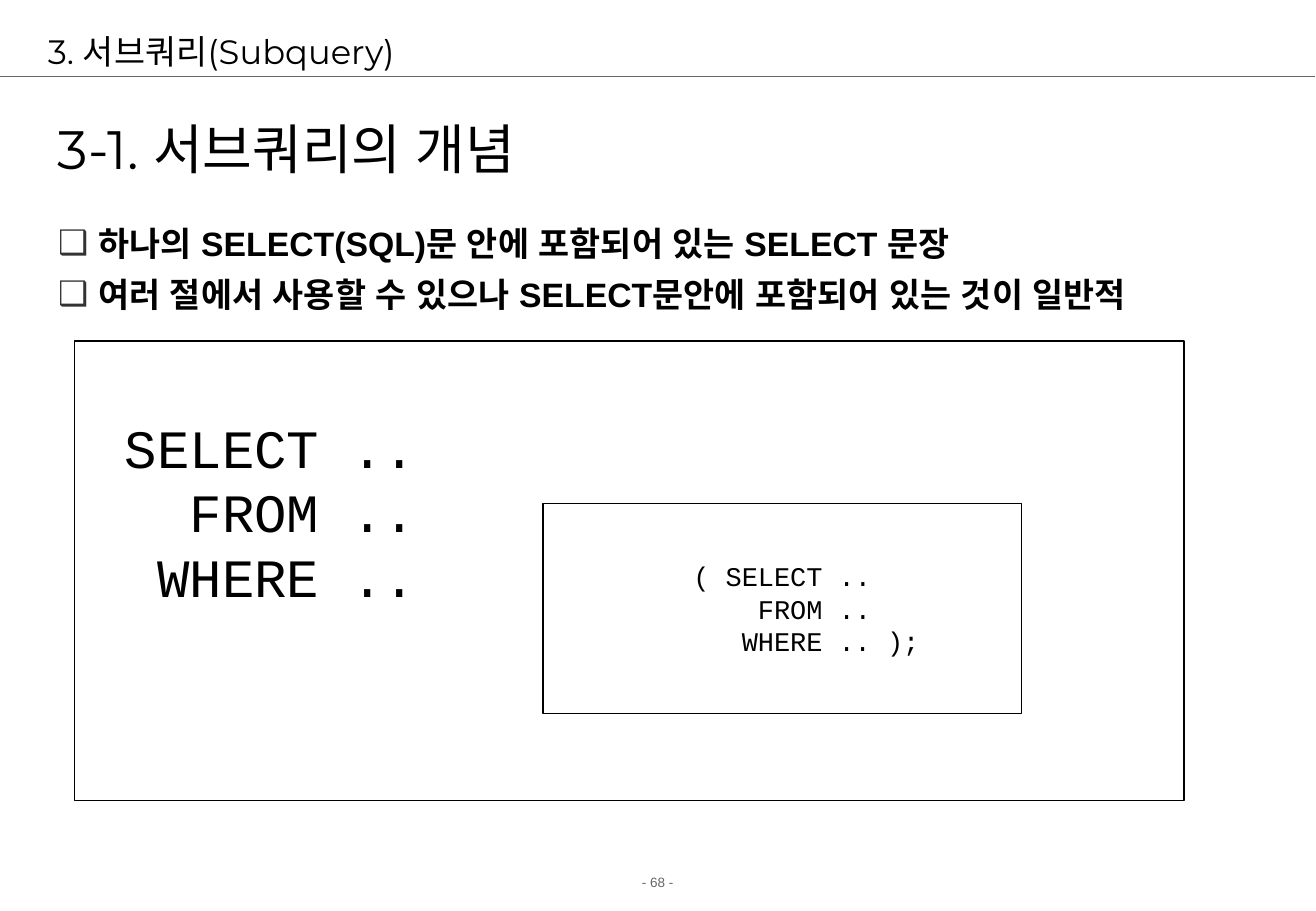
"""Build the slide that introduces the concept of an SQL subquery."""
from dataclasses import dataclass

from lxml.etree import SubElement
from pptx import Presentation
from pptx.dml.color import RGBColor as RGB
from pptx.enum.shapes import MSO_CONNECTOR as Connector, MSO_SHAPE as Shape
from pptx.enum.text import MSO_ANCHOR as Anchor, PP_ALIGN as Align
from pptx.oxml.ns import qn
from pptx.util import Pt


@dataclass(frozen=True)
class Theme:
    ink: RGB = RGB(0x00, 0x00, 0x00)
    muted: RGB = RGB(0x66, 0x66, 0x66)
    bullet: RGB = RGB(0x33, 0x33, 0x33)
    heading_font: str = "Montserrat"
    body_font: str = "Arial"
    code_font: str = "Courier New"
    large: int = 32
    medium: int = 20
    small: int = 16
    tiny: int = 8
    rule: float = 0.75


theme = Theme()


def write(frame, lines, font, size, color=theme.ink, bold=False,
          align=Align.LEFT, anchor=Anchor.TOP, before=0):
    frame.word_wrap = True
    frame.vertical_anchor = anchor
    for number, line in enumerate(lines):
        paragraph = frame.add_paragraph() if number else frame.paragraphs[0]
        paragraph.alignment = align
        paragraph.space_before = Pt(before)
        run = paragraph.add_run()
        run.text = line
        run.font.name = font
        run.font.size = Pt(size)
        run.font.bold = bold
        run.font.color.rgb = color
        SubElement(run.font._element, qn("a:ea"), typeface=font)


def add_frame(left, top, width, height):
    box = slide.shapes.add_shape(Shape.RECTANGLE, Pt(left), Pt(top), Pt(width), Pt(height))
    box.shadow.inherit = False
    box.fill.background()
    box.line.color.rgb = theme.ink
    box.line.width = Pt(theme.rule)
    return box


deck = Presentation()
deck.slide_width, deck.slide_height = Pt(780.48), Pt(540)
slide = deck.slides.add_slide(deck.slide_layouts[5])

page_number = slide.shapes.add_textbox(Pt(0), Pt(514.4), Pt(780), Pt(17.3))
write(page_number.text_frame, ["- 68 -"], theme.body_font, theme.tiny,
      theme.muted, align=Align.CENTER, before=5)

header_rule = slide.shapes.add_connector(Connector.STRAIGHT, Pt(0), Pt(45.2), Pt(780), Pt(45.2))
header_rule.line.color.rgb = theme.muted
header_rule.line.width = Pt(theme.rule)
SubElement(header_rule._element.spPr, qn("a:effectLst"))

chapter = slide.shapes.title
chapter.left, chapter.top, chapter.width, chapter.height = Pt(21.2), Pt(15.1), Pt(732.2), Pt(30.2)
write(chapter.text_frame, ["3. 서브쿼리(Subquery)"], theme.heading_font, theme.medium,
      anchor=Anchor.MIDDLE)

section = slide.shapes.add_textbox(Pt(27.2), Pt(54.7), Pt(612), Pt(66.2))
write(section.text_frame, ["3-1. 서브쿼리의 개념"], theme.heading_font, theme.large,
      anchor=Anchor.MIDDLE)

definition = slide.shapes.add_textbox(Pt(27.4), Pt(128.4), Pt(743), Pt(73.4))
write(definition.text_frame, [
    "하나의 SELECT(SQL)문 안에 포함되어 있는 SELECT 문장",
    "여러 절에서 사용할 수 있으나 SELECT문안에 포함되어 있는 것이 일반적",
], theme.body_font, theme.medium, bold=True, before=6.2)
for point in definition.text_frame.paragraphs:
    properties = point._p.get_or_add_pPr()
    properties.set("marL", str(Pt(23.8)))
    properties.set("indent", str(-Pt(23.8)))
    bullet_color = SubElement(properties, qn("a:buClr"))
    SubElement(bullet_color, qn("a:srgbClr"), val=str(theme.bullet))
    SubElement(properties, qn("a:buFont"), typeface=theme.body_font)
    SubElement(properties, qn("a:buChar"), char="❑")

add_frame(44.2, 202.2, 658.1, 272.2)

main_query = slide.shapes.add_textbox(Pt(67), Pt(241.9), Pt(203.8), Pt(122.4))
write(main_query.text_frame,
      [f"{keyword:>6} .." for keyword in ("SELECT", "FROM", "WHERE")],
      theme.code_font, theme.large)

subquery = add_frame(322.1, 298.4, 283.7, 124.6)
subquery_text = subquery.text_frame
subquery_text.margin_left = subquery_text.margin_right = Pt(0)
subquery_text.margin_top = subquery_text.margin_bottom = Pt(0)
write(subquery_text, ["( SELECT ..", f"{'FROM':>8} ..", f"{'WHERE':>11} .. );"],
      theme.code_font, theme.small, align=Align.CENTER, anchor=Anchor.MIDDLE)

deck.save("out.pptx")
